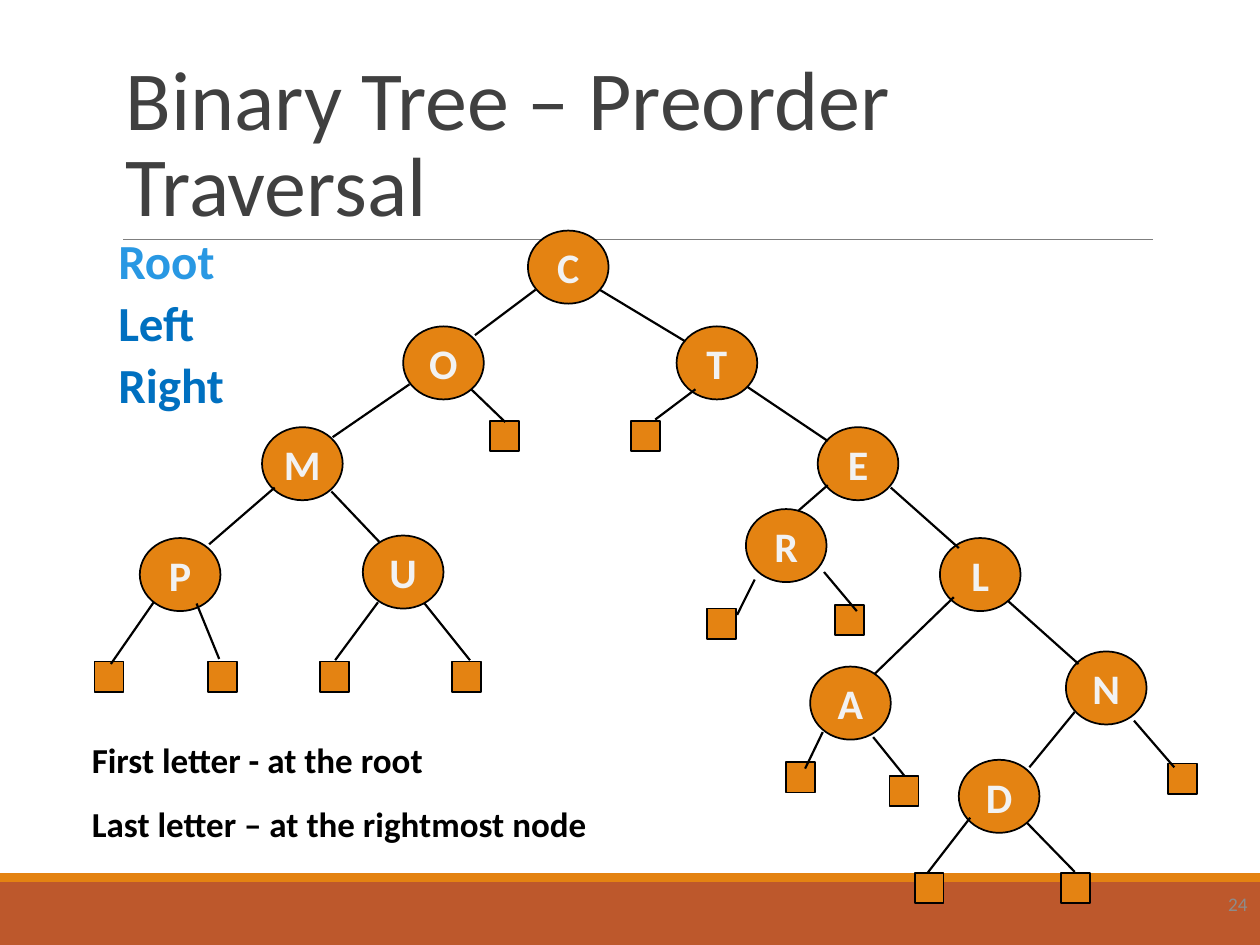
from pptx import Presentation
from pptx.dml.color import RGBColor
from pptx.enum.shapes import MSO_CONNECTOR, MSO_SHAPE
from pptx.enum.text import MSO_ANCHOR, PP_ALIGN
from pptx.oxml.ns import qn
from pptx.util import Inches, Pt
from lxml.etree import SubElement

THEME = dict(
    font="Calibri", title="404040", rule="7F7F7F", orange="E48312", footer="BD582C",
    ink="000000", letter="F2F2F2", root="2998E3", order="0070C0", number="8C8C8C",
    title_size=48, order_size=28, node_size=24, note_size=20, number_size=11,
)
TITLE = "Binary Tree – Preorder Traversal"
ORDER = [("Root", "root"), ("Left", "order"), ("Right", "order")]
NOTES = [("First letter - at the root", "ink"), ("Last letter – at the rightmost node", "ink")]
NUMBER = "24"

NODE_SIZE = (0.64, 0.58)
NODES = {
    "C": (4.19, 1.83), "O": (3.2, 2.59), "T": (5.37, 2.59), "M": (2.08, 3.39),
    "E": (6.49, 3.39), "P": (1.11, 4.27), "U": (2.88, 4.25), "R": (5.92, 4.04),
    "L": (7.46, 4.27), "A": (6.43, 5.29), "N": (8.46, 5.17), "D": (7.61, 6.03),
}
LEAF_SIZE = (0.23, 0.24)
LEAVES = [
    (3.89, 3.34), (5.01, 3.34), (0.75, 5.25), (1.65, 5.25), (2.54, 5.25), (3.59, 5.25),
    (5.61, 4.83), (6.63, 4.8), (6.24, 6.05), (7.06, 6.16), (7.26, 6.93), (8.42, 6.93),
    (9.27, 6.06),
]
EDGES = {
    "C": [(4.25, 2.3, 3.77, 2.66), (4.76, 2.3, 5.44, 2.71)],
    "O": [(3.25, 3.05, 2.64, 3.47), (3.74, 3.09, 4.01, 3.35)],
    "T": [(5.52, 3.09, 5.2, 3.33), (5.93, 3.07, 6.57, 3.5)],
    "M": [(2.18, 3.87, 1.66, 4.32), (2.63, 3.9, 3.01, 4.3)],
    "E": [(6.57, 3.85, 6.34, 4.05), (7.07, 3.87, 7.61, 4.35)],
    "P": [(1.22, 4.78, 0.88, 5.27), (1.56, 4.79, 1.74, 5.23)],
    "U": [(3, 4.78, 2.66, 5.24), (3.37, 4.79, 3.73, 5.24)],
    "R": [(5.99, 4.6, 5.85, 4.88), (6.54, 4.54, 6.8, 4.85)],
    "L": [(7.57, 4.74, 6.94, 5.35), (8, 4.77, 8.56, 5.27)],
    "A": [(6.53, 5.81, 6.39, 6.1), (6.93, 5.85, 7.18, 6.16)],
    "N": [(8.53, 5.65, 8.17, 6.09), (9, 5.72, 9.32, 6.09)],
    "D": [(7.7, 6.49, 7.36, 6.93), (8.15, 6.53, 8.53, 6.92)],
}


def color(name):
    return RGBColor.from_string(THEME[name])


def write(tf, lines, size, bold=False, align=PP_ALIGN.LEFT, anchor=MSO_ANCHOR.TOP,
          spacing=None, before=0, wrap=True):
    tf.word_wrap = wrap
    tf.vertical_anchor = anchor
    for i, (text, tone) in enumerate(lines):
        p = tf.add_paragraph() if i else tf.paragraphs[0]
        p.alignment = align
        if spacing:
            p.line_spacing = spacing
        if i:
            p.space_before = Pt(before)
        r = p.add_run()
        r.text = text
        r.font.name = THEME["font"]
        r.font.size = Pt(THEME[size])
        r.font.bold = bold
        r.font.color.rgb = color(tone)


def add_text(s, box, lines, size, **fmt):
    tf = s.shapes.add_textbox(*map(Inches, box)).text_frame
    write(tf, lines, size, **fmt)


def add_block(s, kind, box, fill, outline=None):
    sp = s.shapes.add_shape(kind, *map(Inches, box))
    sp.shadow.inherit = False
    sp.fill.solid()
    sp.fill.fore_color.rgb = color(fill)
    if outline:
        sp.line.color.rgb = color(outline)
        sp.line.width = Pt(1)
    else:
        sp.line.fill.background()
    return sp


def add_line(s, ends, tone, width):
    ln = s.shapes.add_connector(MSO_CONNECTOR.STRAIGHT, *map(Inches, ends))
    ln.line.color.rgb = color(tone)
    ln.line.width = Pt(width)
    SubElement(ln._element.spPr, qn("a:effectLst"))


def main():
    prs = Presentation()
    prs.slide_width, prs.slide_height = Inches(10), Inches(7.5)
    s = prs.slides.add_slide(prs.slide_layouts[6])

    add_block(s, MSO_SHAPE.RECTANGLE, (0, 7, 10, 0.5), "footer")
    add_block(s, MSO_SHAPE.RECTANGLE, (0, 6.93, 10, 0.07), "orange")
    add_line(s, (0.98, 1.9, 9.15, 1.9), "rule", 0.5)
    add_text(s, (0.9, 0.31, 8.25, 1.59), [(TITLE, "title")], "title_size",
             anchor=MSO_ANCHOR.BOTTOM, spacing=0.85)

    for letter, at in NODES.items():
        sp = add_block(s, MSO_SHAPE.OVAL, at + NODE_SIZE, "orange", "ink")
        write(sp.text_frame, [(letter, "letter")], "node_size", bold=True,
              align=PP_ALIGN.CENTER, anchor=MSO_ANCHOR.MIDDLE, wrap=False)
    for at in LEAVES:
        add_block(s, MSO_SHAPE.RECTANGLE, at + LEAF_SIZE, "orange", "ink")
    for pair in EDGES.values():
        for ends in pair:
            add_line(s, ends, "ink", 1.25)

    add_text(s, (0.84, 1.83, 1.92, 1.51), ORDER, "order_size", bold=True,
             spacing=0.9, before=5.2)
    add_text(s, (0.63, 5.81, 5.08, 0.94), NOTES, "note_size", bold=True, before=12.5)
    add_text(s, (9.2, 6.97, 0.8, 0.4), [(NUMBER, "number")], "number_size",
             align=PP_ALIGN.RIGHT, anchor=MSO_ANCHOR.MIDDLE)
    prs.save("out.pptx")


if __name__ == "__main__":
    main()
